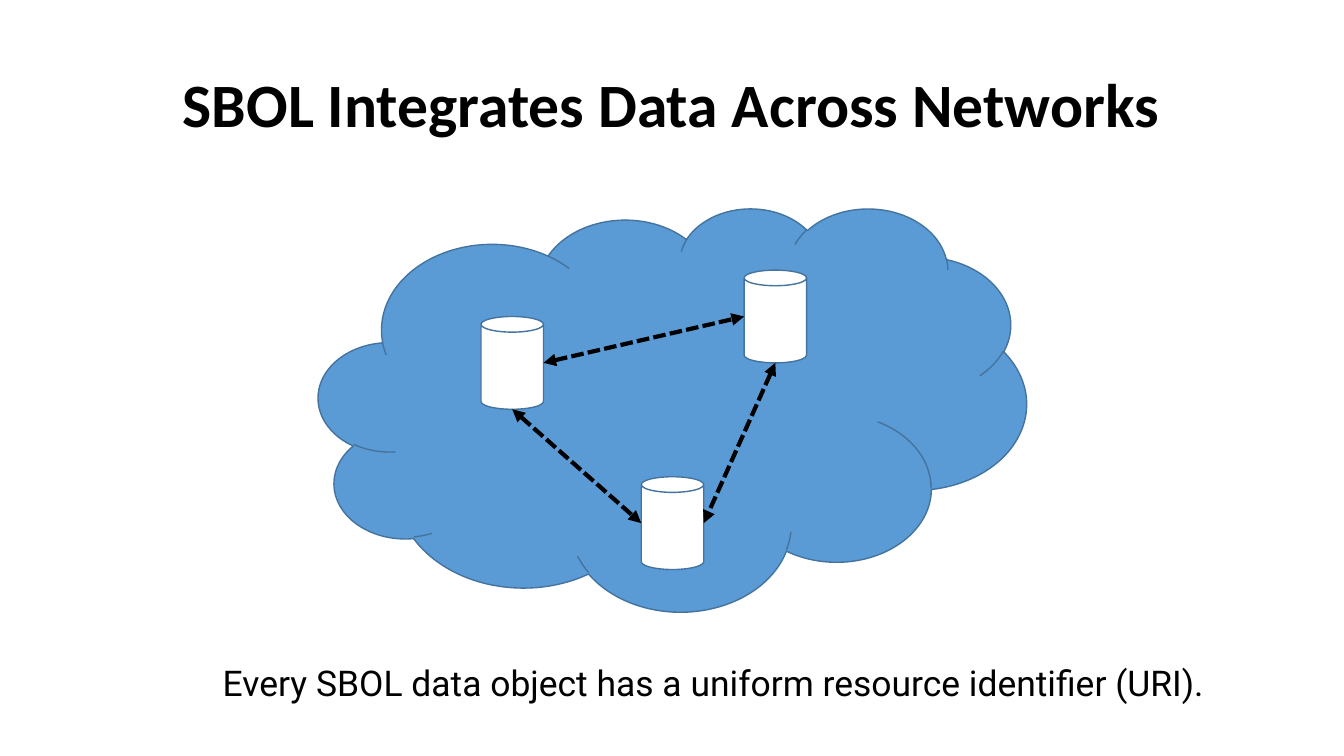
from lxml import etree
from pptx import Presentation
from pptx.dml.color import RGBColor
from pptx.enum.dml import MSO_LINE
from pptx.enum.shapes import MSO_CONNECTOR, MSO_SHAPE
from pptx.enum.text import MSO_ANCHOR, PP_ALIGN
from pptx.oxml.ns import qn
from pptx.util import Pt

# Content: lengths in px, 100 px to the inch
SLIDE_SIZE = (1333, 750)
TEXTS = [
    ("SBOL Integrates Data Across Networks", (45, 65, 1242, 84), MSO_ANCHOR.MIDDLE,
     {"name": "Calibri", "size": Pt(44), "bold": True}),
    ("Every SBOL data object has a uniform resource identifier (URI). ",
     (91, 656, 1242, 84), MSO_ANCHOR.TOP,
     {"name": "Roboto", "size": Pt(25.3), "bold": False}),
]
CLOUD = (316, 206, 702, 400)
DATABASE_SIZE = (62, 92)
DATABASES = {"left": (477, 314), "bottom": (636, 473), "right": (738, 268)}
LINKS = [
    (("left", "bottom side"), ("bottom", "left side")),
    (("left", "right side"), ("right", "left side")),
    (("right", "bottom side"), ("bottom", "right side")),
]
# Connection points as fractions of a database's width and height
SIDES = {"left side": (0, 0.5), "right side": (1, 0.5), "bottom side": (0.5, 1)}
BLUE, OUTLINE, WHITE, BLACK = "5B9BD5", "43739E", "FFFFFF", "000000"


def px(length):
    return round(length * 9144)


def color(hex_value):
    return RGBColor.from_string(hex_value)


def add_outlined(kind, box, fill):
    shape = slide.shapes.add_shape(kind, *map(px, box))
    shape.shadow.inherit = False
    shape.fill.solid()
    shape.fill.fore_color.rgb = color(fill)
    shape.line.color.rgb = color(OUTLINE)
    shape.line.width = Pt(1)


def connection_point(database, side):
    return [px(start + size * fraction) for start, size, fraction
            in zip(DATABASES[database], DATABASE_SIZE, SIDES[side])]


def add_link(start, end):
    connector = slide.shapes.add_connector(
        MSO_CONNECTOR.STRAIGHT, *connection_point(*start), *connection_point(*end))
    line = connector.line
    line.color.rgb = color(BLACK)
    line.width = Pt(3)
    line.dash_style = MSO_LINE.SQUARE_DOT
    # Arrowheads at both ends, no shadow
    for tag in ("a:headEnd", "a:tailEnd"):
        etree.SubElement(line._get_or_add_ln(), qn(tag), type="triangle")
    etree.SubElement(connector._element.spPr, qn("a:effectLst"))


def add_text(text, box, anchor, font_format):
    frame = slide.shapes.add_textbox(*map(px, box)).text_frame
    frame.word_wrap = True
    frame.vertical_anchor = anchor
    paragraph = frame.paragraphs[0]
    paragraph.alignment = PP_ALIGN.CENTER
    paragraph.line_spacing = 0.9
    run = paragraph.add_run()
    run.text = text
    for name, value in font_format.items():
        setattr(run.font, name, value)
    run.font.color.rgb = color(BLACK)


presentation = Presentation()
presentation.slide_width, presentation.slide_height = map(px, SLIDE_SIZE)
slide = presentation.slides.add_slide(presentation.slide_layouts[6])

# Cloud with its databases
add_outlined(MSO_SHAPE.CLOUD, CLOUD, BLUE)
for position in DATABASES.values():
    add_outlined(MSO_SHAPE.CAN, position + DATABASE_SIZE, WHITE)

# Links between databases
for link in LINKS:
    add_link(*link)

# Title and caption
for text_item in TEXTS:
    add_text(*text_item)

presentation.save("out.pptx")
